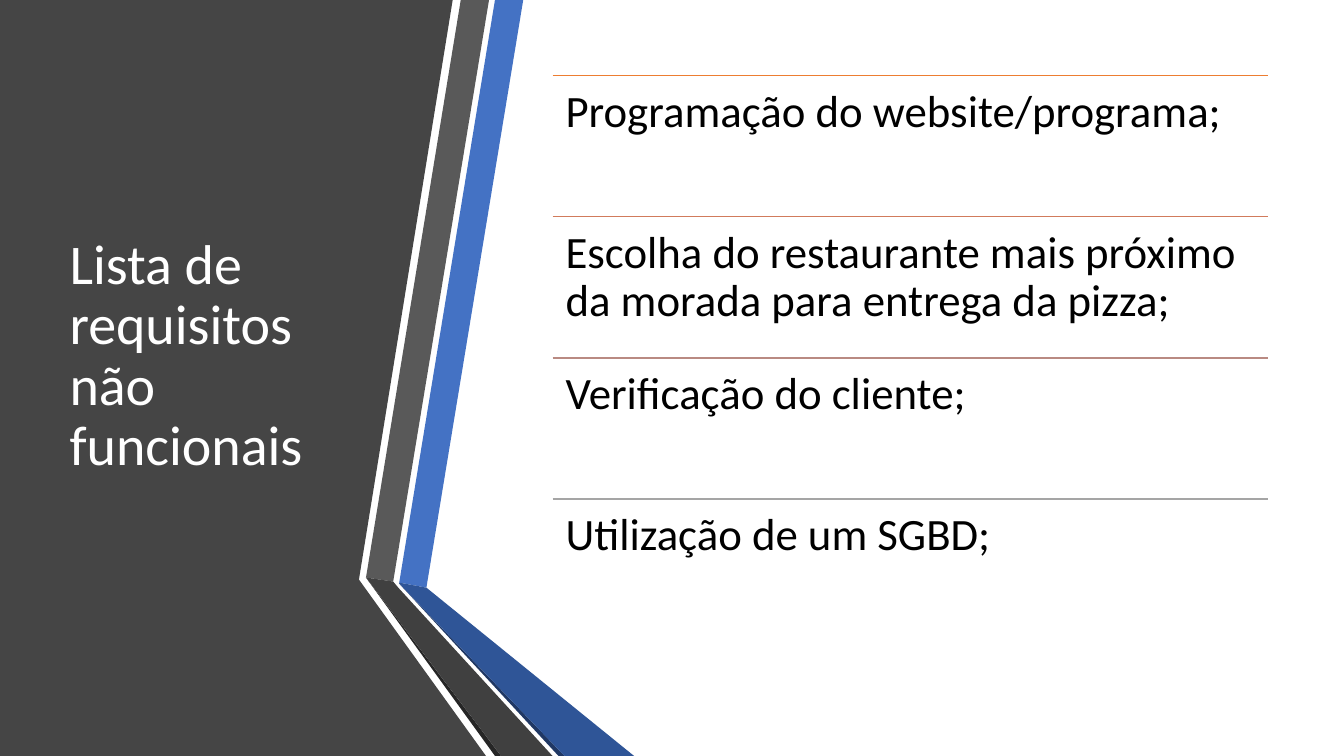
import pptx
import pptx.util
import pptx.dml.color
import pptx.enum.shapes
import pptx.enum.text
import pptx.oxml.ns
import lxml.etree

Inches = pptx.util.Inches
Pt = pptx.util.Pt
RGB = pptx.dml.color.RGBColor
Anchor = pptx.enum.text.MSO_ANCHOR

WHITE = RGB(0xFF, 0xFF, 0xFF)
BLACK = RGB(0, 0, 0)
PANEL = RGB(0x45, 0x45, 0x45)
BLUE = RGB(0x44, 0x72, 0xC4)
NAVY = RGB(0x20, 0x38, 0x64)
DEEP = RGB(0x2F, 0x55, 0x97)
GREY = RGB(0x59, 0x59, 0x59)
COAL = RGB(0x26, 0x26, 0x26)
DARK = RGB(0x40, 0x40, 0x40)
ORANGE = RGB(0xED, 0x7D, 0x31)
RUST = RGB(0xD1, 0x7B, 0x5C)
ROSE = RGB(0xB9, 0x8A, 0x82)
SILVER = RGB(0xA5, 0xA5, 0xA5)

deck = pptx.Presentation()
deck.slide_width = Inches(13.33)
deck.slide_height = Inches(7.5)
slide = deck.slides.add_slide(deck.slide_layouts[5])
slide.background.fill.solid()
slide.background.fill.fore_color.rgb = WHITE


def write(frame, text, size, color):
    frame.word_wrap = True
    frame.auto_size = pptx.enum.text.MSO_AUTO_SIZE.NONE
    para = frame.paragraphs[0]
    para.alignment = pptx.enum.text.PP_ALIGN.LEFT
    para.line_spacing = 0.9
    run = para.add_run()
    run.text = text
    run.font.name = "Calibri"
    run.font.size = Pt(size)
    run.font.color.rgb = color
    return para


# Dark panel and folded ribbons, back to front
bands = [
    (PANEL, [(0, 0), (4.49, 0), (3.56, 5.75), (4.82, 7.5), (0, 7.5)]),
    (BLUE, [(3.96, 5.78), (4.23, 5.83), (5.19, 0), (4.91, 0)]),
    (GREY, [(4.85, 0), (4.57, 0), (3.63, 5.73), (3.9, 5.77)]),
    (COAL, [(3.63, 5.73), (4.91, 7.5), (4.97, 7.5)]),
    (NAVY, [(3.96, 5.79), (5.54, 7.5), (5.6, 7.5)]),
    (DEEP, [(3.96, 5.78), (3.96, 5.79), (5.6, 7.5), (6.29, 7.5), (4.23, 5.83)]),
    (DARK, [(3.63, 5.73), (4.97, 7.5), (5.48, 7.5), (3.95, 5.83), (3.9, 5.77)]),
]
for color, points in bands:
    x, y = points[0]
    pen = slide.shapes.build_freeform(Inches(x), Inches(y), scale=1.0)
    pen.add_line_segments([(Inches(x), Inches(y)) for x, y in points[1:]], close=True)
    band = pen.convert_to_shape()
    band.shadow.inherit = False
    band.fill.solid()
    band.fill.fore_color.rgb = color
    band.line.fill.background()

# Title, brought in front of the panel
title = slide.shapes.title
title.left, title.top = Inches(0.59), Inches(0.75)
title.width, title.height = Inches(3.04), Inches(5.58)
title.text_frame.vertical_anchor = Anchor.MIDDLE
write(title.text_frame, "Lista de requisitos não funcionais", 40, WHITE)
tree = title.element.getparent()
tree.append(title.element)

# Requirements, each under its own rule
items = [
    (ORANGE, "Programação do website/programa;"),
    (RUST, "Escolha do restaurante mais próximo da morada para entrega da pizza;"),
    (ROSE, "Verificação do cliente;"),
    (SILVER, "Utilização de um SGBD;"),
]
left, width, step = Inches(5.48), Inches(7.1), Inches(1.4)
for row, (color, text) in enumerate(items):
    top = Inches(0.75) + row * step
    rule = slide.shapes.add_connector(
        pptx.enum.shapes.MSO_CONNECTOR.STRAIGHT, left, top, left + width, top)
    rule.line.color.rgb = color
    rule.line.width = Pt(1)
    lxml.etree.SubElement(rule.element.spPr, pptx.oxml.ns.qn("a:effectLst"))

    box = slide.shapes.add_textbox(left, top, width, step)
    frame = box.text_frame
    frame.vertical_anchor = Anchor.TOP
    frame.margin_left = frame.margin_right = Inches(0.13)
    frame.margin_top = frame.margin_bottom = Inches(0.13)
    write(frame, text, 32, BLACK)

deck.save("out.pptx")
